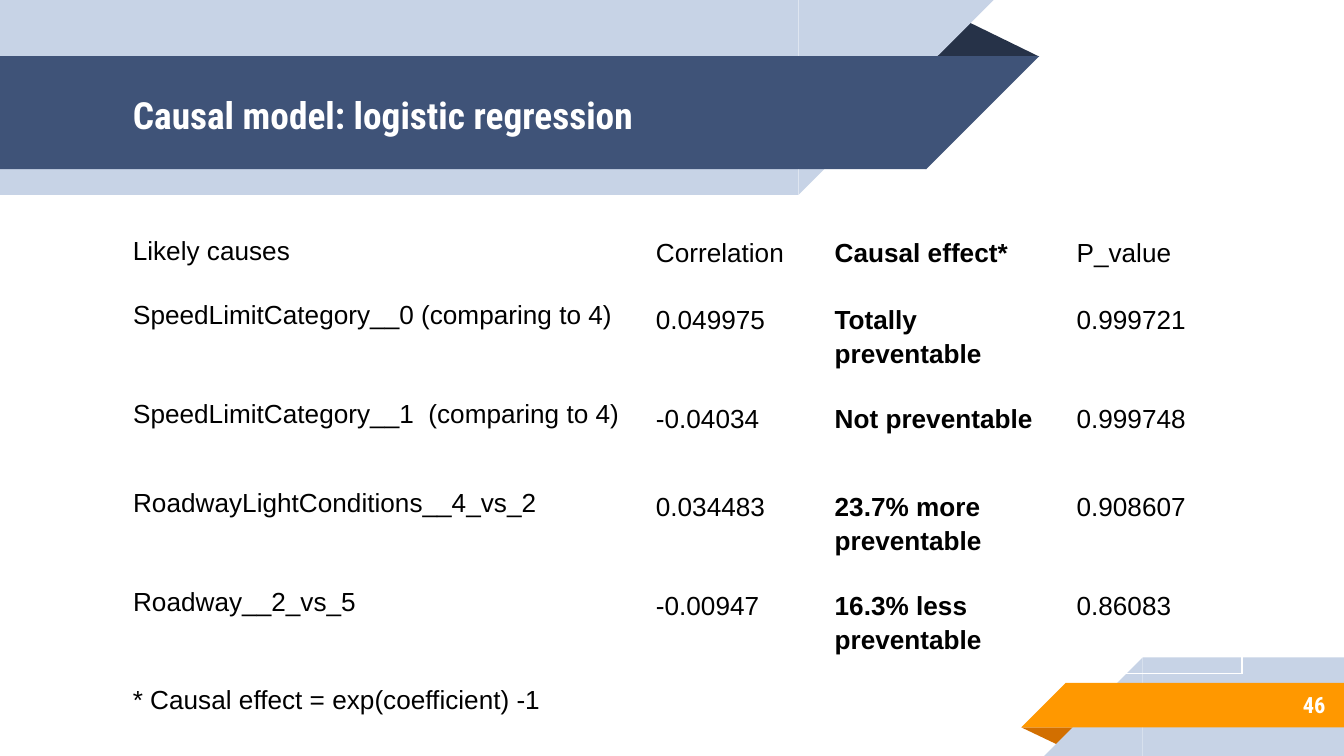
from dataclasses import dataclass

import pptx
import pptx.dml.color
import pptx.enum.shapes
import pptx.enum.text
import pptx.oxml.ns
import pptx.presentation
import pptx.slide
import pptx.text.text
import pptx.util

Pt = pptx.util.Pt
RGBColor = pptx.dml.color.RGBColor
Shape = pptx.enum.shapes.MSO_SHAPE
Align = pptx.enum.text.PP_ALIGN
Anchor = pptx.enum.text.MSO_ANCHOR

NAVY = RGBColor(0x26, 0x32, 0x48)
BLUE = RGBColor(0x3F, 0x53, 0x78)
PALE = RGBColor(0xC7, 0xD3, 0xE6)
ORANGE = RGBColor(0xFF, 0x98, 0x00)
RUST = RGBColor(0xD2, 0x6F, 0x00)
WHITE = RGBColor(0xFF, 0xFF, 0xFF)
BLACK = RGBColor(0x00, 0x00, 0x00)

HEADING_FONT = "Roboto Condensed"
BODY_FONT = "Arial"
INSET = Pt(7.2)
LEFT = 64.1
TABLE_TOP = 118.1


@dataclass(frozen=True)
class Piece:
    """One flat part of a ribbon, in points."""
    kind: Shape
    left: float
    top: float
    width: float
    height: float
    color: RGBColor
    rotation: int = 0
    flip: bool = False


@dataclass(frozen=True)
class Cause:
    """One row of the table."""
    name: str
    correlation: str
    effect: str
    p_value: str


def top_band(top: float, width: float, height: float, color: RGBColor) -> list[Piece]:
    """A band from the left edge whose right end slants inwards at 45 degrees."""
    return [
        Piece(Shape.RECTANGLE, 0, top, width, height, color),
        Piece(Shape.RIGHT_TRIANGLE, width, top, height, height, color, 180, True),
    ]


def bottom_band(left: float, top: float, height: float, color: RGBColor) -> list[Piece]:
    """A band to the right edge whose left end slants outwards at 45 degrees."""
    return [
        Piece(Shape.RECTANGLE, left, top, 720 - left, height, color),
        Piece(Shape.RIGHT_TRIANGLE, left - height, top, height, height, color, 0, True),
    ]


PIECES = [
    # Header ribbon
    Piece(Shape.ISOSCELES_TRIANGLE, 495.5, 10.1, 61.2, 20.2, NAVY),
    *top_band(0, 427.8, 104.4, PALE),
    *top_band(30.1, 496.1, 60.6, BLUE),
    # Footer ribbon
    Piece(Shape.ISOSCELES_TRIANGLE, 547.2, 389.7, 31, 10, RUST, 180),
    *bottom_band(612.2, 352.2, 52.8, PALE),
    *bottom_band(571, 365.9, 23.8, ORANGE),
]

COLUMN_WIDTHS = [280.1, 95.8, 129.6, 95.8]
HEADER_HEIGHT = 30.2
ROW_HEIGHT = 47.5
ROWS = [
    Cause("", "Correlation", "Causal effect*", "P_value"),
    Cause("SpeedLimitCategory__0 (comparing to 4)", "0.049975", "Totally preventable", "0.999721"),
    Cause("SpeedLimitCategory__1  (comparing to 4)", "-0.04034", "Not preventable", "0.999748"),
    Cause("RoadwayLightConditions__4_vs_2", "0.034483", "23.7% more preventable", "0.908607"),
    Cause("Roadway__2_vs_5", "-0.00947", "16.3% less preventable", "0.86083"),
]


def write(frame: pptx.text.text.TextFrame, text: str, *, size: float = 14,
          font: str = BODY_FONT, color: RGBColor = BLACK, bold: bool = False,
          align: Align = Align.LEFT, spacing: float = 1.0) -> None:
    para = frame.paragraphs[0]
    para.alignment = align
    para.line_spacing = spacing
    span = para.add_run()
    span.text = text
    span.font.size = Pt(size)
    span.font.name = font
    span.font.bold = bold
    span.font.color.rgb = color


def add_piece(page: pptx.slide.Slide, piece: Piece) -> None:
    shape = page.shapes.add_shape(piece.kind, Pt(piece.left), Pt(piece.top),
                                  Pt(piece.width), Pt(piece.height))
    shape.shadow.inherit = False
    shape.fill.solid()
    shape.fill.fore_color.rgb = piece.color
    shape.line.fill.background()
    shape.rotation = piece.rotation
    if piece.kind == Shape.ISOSCELES_TRIANGLE:
        shape.adjustments[0] = 0.324
    if piece.flip:
        shape._element.spPr.find(pptx.oxml.ns.qn("a:xfrm")).set("flipH", "1")


def add_text(page: pptx.slide.Slide, text: str, left: float, top: float, width: float,
             height: float, anchor: Anchor = Anchor.TOP, **style) -> None:
    frame = page.shapes.add_textbox(Pt(left), Pt(top), Pt(width), Pt(height)).text_frame
    frame.word_wrap = True
    frame.vertical_anchor = anchor
    frame.margin_left = frame.margin_right = INSET
    frame.margin_top = frame.margin_bottom = INSET
    write(frame, text, **style)


def add_causes(page: pptx.slide.Slide, rows: list[Cause]) -> None:
    heights = [HEADER_HEIGHT] + [ROW_HEIGHT] * (len(rows) - 1)
    table = page.shapes.add_table(len(rows), len(COLUMN_WIDTHS), Pt(LEFT), Pt(TABLE_TOP),
                                  Pt(sum(COLUMN_WIDTHS)), Pt(sum(heights))).table
    table.first_row = table.horz_banding = False
    for column, width in zip(table.columns, COLUMN_WIDTHS):
        column.width = Pt(width)
    for row, height, cause in zip(table.rows, heights, rows):
        row.height = Pt(height)
        texts = (cause.name, cause.correlation, cause.effect, cause.p_value)
        for index, (cell, text) in enumerate(zip(row.cells, texts)):
            cell.fill.background()
            cell.margin_left = cell.margin_right = INSET
            cell.margin_top = cell.margin_bottom = INSET
            if text:
                write(cell.text_frame, text, bold=index == 2,
                      spacing=1.15 if index else 1.0)


def main() -> None:
    deck = pptx.Presentation()
    deck.slide_width, deck.slide_height = Pt(720), Pt(405)
    page = deck.slides.add_slide(deck.slide_layouts[6])

    # Ribbons
    for piece in PIECES:
        add_piece(page, piece)

    # Title and page number
    heading = {"font": HEADING_FONT, "color": WHITE, "bold": True, "anchor": Anchor.MIDDLE}
    add_text(page, "Causal model: logistic regression", LEFT, 31, 414, 60.5, size=20, **heading)
    add_text(page, "46", 599.8, 365, 117.4, 25.2, size=12, align=Align.RIGHT, **heading)

    # Table with its first heading and footnote
    add_text(page, "Likely causes", LEFT, TABLE_TOP, 312.5, 73.4)
    add_causes(page, ROWS)
    add_text(page, "* Causal effect = exp(coefficient) -1", LEFT, 356.4, 290.2, 48, spacing=1.15)

    deck.save("out.pptx")


if __name__ == "__main__":
    main()
